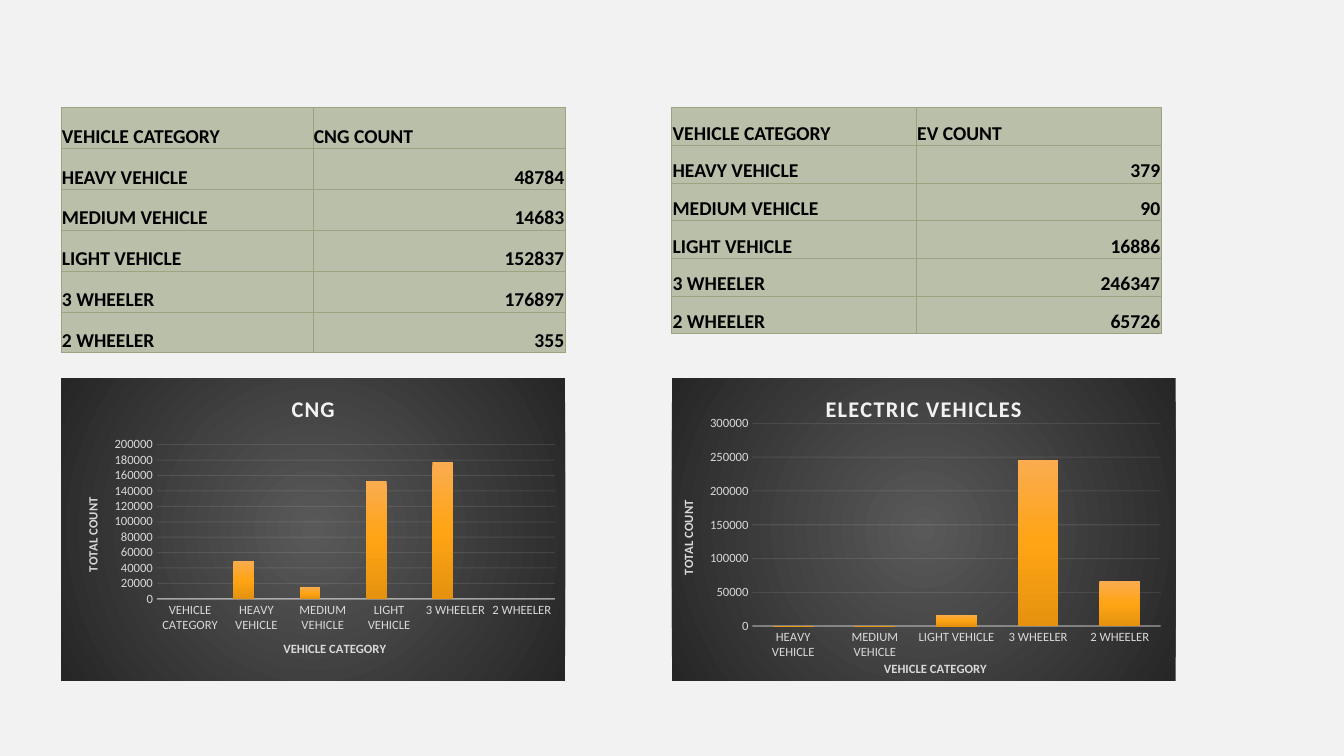
from lxml.etree import SubElement
from pptx import Presentation
from pptx.chart.data import CategoryChartData
from pptx.dml.color import RGBColor
from pptx.enum.chart import XL_CHART_TYPE as ChartType, XL_TICK_MARK as TickMark
from pptx.enum.text import MSO_ANCHOR as Anchor, PP_ALIGN as Align
from pptx.oxml import parse_xml
from pptx.oxml.ns import nsdecls, qn
from pptx.util import Cm, Pt

FONT = "Calibri"
BLACK = RGBColor(0x00, 0x00, 0x00)
PALE = RGBColor(0xF2, 0xF2, 0xF2)
LABEL = RGBColor(0xD9, 0xD9, 0xD9)
SAGE = RGBColor(0xBA, 0xBF, 0xAA)
OLIVE = RGBColor(0x9C, 0xA3, 0x83)
PANEL = [RGBColor(0x59, 0x59, 0x59), RGBColor(0x26, 0x26, 0x26)]
ORANGE = [RGBColor(0xFA, 0xAC, 0x4F), RGBColor(0xFF, 0xA4, 0x14), RGBColor(0xE5, 0x92, 0x0F)]
STEEL = [RGBColor(0xA6, 0xB8, 0xBD), RGBColor(0x9A, 0xB0, 0xB6), RGBColor(0x87, 0x9D, 0xA4)]
DOWNWARD = '<a:lin ang="5400000" scaled="0"/>'
RADIAL = '<a:path path="circle"><a:fillToRect l="50000" t="50000" r="50000" b="50000"/></a:path>'

VEHICLES = ["HEAVY VEHICLE", "MEDIUM VEHICLE", "LIGHT VEHICLE", "3 WHEELER", "2 WHEELER"]
CNG_COUNTS = [48784, 14683, 152837, 176897, 355]
EV_COUNTS = [379, 90, 16886, 246347, 65726]
LEFT, RIGHT = Cm(1.54), Cm(16.93)
TABLE_TOP, CHART_TOP = Cm(2.71), Cm(9.53)
CHART_WIDTH, CHART_HEIGHT = Cm(12.7), Cm(7.62)


def gradient(colors, shade):
    """Return a gradient fill with evenly spaced stops."""
    step = 100000 // (len(colors) - 1)
    stops = "".join(
        f'<a:gs pos="{index * step}"><a:srgbClr val="{color}"/></a:gs>'
        for index, color in enumerate(colors)
    )
    return parse_xml(f'<a:gradFill {nsdecls("a")}><a:gsLst>{stops}</a:gsLst>{shade}</a:gradFill>')


def style_font(font, size, color, bold):
    """Set the face, size, colour and weight of a font."""
    font.name, font.size, font.bold = FONT, Pt(size), bold
    font.color.rgb = color


def add_border(cell):
    """Draw a thin olive line on every side of a cell."""
    props = cell._tc.get_or_add_tcPr()
    for index, side in enumerate(("lnL", "lnR", "lnT", "lnB")):
        props.insert(index, parse_xml(
            f'<a:{side} {nsdecls("a")} w="6350"><a:solidFill><a:srgbClr val="{OLIVE}"/>'
            f'</a:solidFill></a:{side}>'
        ))


def fill_cell(cell, text, align):
    """Write one bold entry at the bottom of a sage cell."""
    cell.fill.solid()
    cell.fill.fore_color.rgb = SAGE
    cell.vertical_anchor = Anchor.BOTTOM
    cell.margin_left = cell.margin_right = cell.margin_top = Cm(0.02)
    cell.margin_bottom = 0
    para = cell.text_frame.paragraphs[0]
    para.alignment = align
    span = para.add_run()
    span.text = text
    style_font(span.font, 14, BLACK, True)
    add_border(cell)


def add_count_table(page, left, width, row_height, heading, counts):
    """Add a table of vehicle categories and their counts."""
    rows = [("VEHICLE CATEGORY", heading), *zip(VEHICLES, counts)]
    frame = page.shapes.add_table(len(rows), 2, left, TABLE_TOP, width, row_height * len(rows))
    table = frame.table
    for row_index, row in enumerate(rows):
        table.rows[row_index].height = row_height
        for column, value in enumerate(row):
            align = Align.RIGHT if isinstance(value, int) else Align.LEFT
            fill_cell(table.cell(row_index, column), str(value), align)


def add_title(owner, text, size, color, spacing=0):
    """Give a chart or an axis a bold title."""
    owner.has_title = True
    frame = owner.chart_title.text_frame if spacing else owner.axis_title.text_frame
    span = frame.paragraphs[0].add_run()
    span.text = text
    style_font(span.font, size, color, True)
    span.font._element.set("spc", str(spacing))


def style_line(line, width):
    """Give a chart line the pale colour and a width."""
    line.color.rgb = PALE
    line.width = Pt(width)


def set_opacity(chart, query, percent):
    """Make the colours found by a query partly transparent."""
    for color in chart.element.xpath(query):
        SubElement(color, qn("a:alpha"), val=str(percent * 1000))


def style_axes(chart, maximum, unit):
    """Format the category and value axes."""
    category, value = chart.category_axis, chart.value_axis
    for axis, title in ((category, "VEHICLE CATEGORY"), (value, "TOTAL COUNT")):
        axis.major_tick_mark = axis.minor_tick_mark = TickMark.NONE
        style_font(axis.tick_labels.font, 9, LABEL, False)
        add_title(axis, title, 9, LABEL)
    value.minimum_scale, value.maximum_scale, value.major_unit = 0, maximum, unit
    value.has_major_gridlines = True
    value.format.line.fill.background()
    style_line(category.format.line, 1)
    style_line(value.major_gridlines.format.line, 0.75)
    set_opacity(chart, ".//c:catAx/c:spPr//a:srgbClr", 54)
    set_opacity(chart, ".//c:majorGridlines//a:srgbClr", 10)


def place_plot(chart, area):
    """Fix the inner plot area as fractions of the chart."""
    plot_area = chart.element.xpath(".//c:plotArea")[0]
    for layout in plot_area.findall(qn("c:layout")):
        plot_area.remove(layout)
    sizes = "".join(f'<c:{name} val="{part}"/>' for name, part in zip("xywh", area))
    plot_area.insert(0, parse_xml(
        f'<c:layout {nsdecls("c")}><c:manualLayout><c:layoutTarget val="inner"/>'
        f'<c:xMode val="edge"/><c:yMode val="edge"/>{sizes}</c:manualLayout></c:layout>'
    ))


def paint_chart(chart):
    """Apply gradients to the panel and the columns."""
    for series, colors in zip(chart.plots[0].series, (ORANGE, STEEL)):
        series.format.fill.solid()
        solid = series.format.fill._xPr.find(qn("a:solidFill"))
        solid.getparent().replace(solid, gradient(colors, DOWNWARD))
    panel = parse_xml(f'<c:spPr {nsdecls("a", "c")}><a:ln><a:noFill/></a:ln></c:spPr>')
    panel.insert(0, gradient(PANEL, RADIAL))
    chart.element.find(qn("c:chart")).addnext(panel)


def add_count_chart(page, left, title, categories, series, scale, area):
    """Add a dark column chart of vehicle counts."""
    data = CategoryChartData()
    data.categories = categories
    for number, values in enumerate(series, 1):
        data.add_series(f"Series {number}", values)
    chart = page.shapes.add_chart(
        ChartType.COLUMN_CLUSTERED, left, CHART_TOP, CHART_WIDTH, CHART_HEIGHT, data
    ).chart
    style_font(chart.font, 10, BLACK, False)
    chart.has_legend = False
    plot = chart.plots[0]
    plot.gap_width, plot.overlap, plot.vary_by_categories = 100, -24, False
    add_title(chart, title, 16, PALE, spacing=100)
    style_axes(chart, *scale)
    place_plot(chart, area)
    paint_chart(chart)


def main():
    """Build the slide comparing CNG and electric vehicles."""
    deck = Presentation()
    deck.slide_width, deck.slide_height = Cm(33.87), Cm(19.05)
    page = deck.slides.add_slide(deck.slide_layouts[6])
    page.background.fill.solid()
    page.background.fill.fore_color.rgb = PALE
    add_count_chart(
        page, LEFT, "CNG", ["VEHICLE CATEGORY", *VEHICLES],
        [[0, 49000, 15000, 153000, 177000, 0], [None] * 6],
        (200000, 20000), (0.19, 0.22, 0.79, 0.51),
    )
    add_count_chart(
        page, RIGHT, "ELECTRIC VEHICLES", VEHICLES, [[0, 0, 17000, 246000, 66000]],
        (300000, 50000), (0.16, 0.15, 0.81, 0.67),
    )
    add_count_table(page, RIGHT, Cm(12.33), Cm(0.95), "EV COUNT", EV_COUNTS)
    add_count_table(page, LEFT, Cm(12.7), Cm(1.03), "CNG COUNT", CNG_COUNTS)
    deck.save("out.pptx")


if __name__ == "__main__":
    main()
